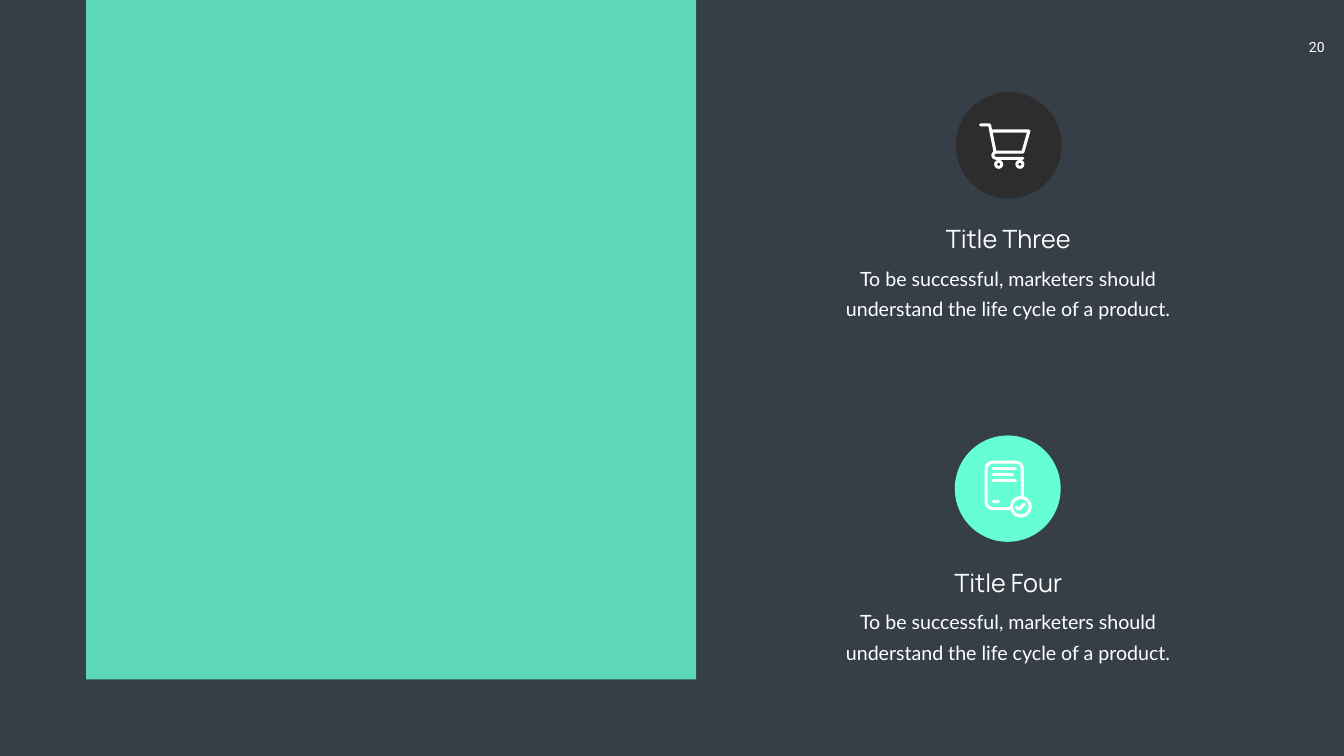
"""Build a dark slide with a green panel and two icon topics."""
from pptx import Presentation
from pptx.dml.color import RGBColor
from pptx.enum.shapes import MSO_SHAPE
from pptx.enum.text import PP_ALIGN
from pptx.oxml.ns import qn
from pptx.util import Inches, Pt
from lxml.etree import SubElement

SLATE = RGBColor(0x36, 0x3E, 0x48)
MINT = RGBColor(0x66, 0xFF, 0xD5)
COAL = RGBColor(0x2C, 0x2D, 0x2C)
WHITE = RGBColor(0xFF, 0xFF, 0xFF)
PEN = Inches(0.06)

deck = Presentation()
deck.slide_width, deck.slide_height = Inches(26.66), Inches(15)
slide = deck.slides.add_slide(deck.slide_layouts[6])
slide.background.fill.solid()
slide.background.fill.fore_color.rgb = SLATE
shapes = slide.shapes


def place(kind, box, fill=None, line=None):
    shape = shapes.add_shape(kind, *map(Inches, box))
    shape.shadow.inherit = False
    if fill is None:
        shape.fill.background()
    else:
        shape.fill.solid()
        shape.fill.fore_color.rgb = fill
    if line is None:
        shape.line.fill.background()
    else:
        shape.line.color.rgb = line
        shape.line.width = PEN
    return shape


def write(text, box, font, size, space=None):
    frame = shapes.add_textbox(*map(Inches, box)).text_frame
    frame.word_wrap = True
    para = frame.paragraphs[0]
    para.text = text
    para.alignment = PP_ALIGN.CENTER
    para.line_spacing = space
    para.font.name, para.font.size = font, Pt(size)
    para.font.color.rgb = WHITE
    return frame


number = write("20", (25.69, 0.67, 1.01, 0.54), "Roboto", 20)
number.margin_left, number.margin_right = Inches(0.2), Inches(0.35)
number.margin_top = number.margin_bottom = Inches(0.1)

panel = place(MSO_SHAPE.RECTANGLE, (1.71, 0, 12.1, 13.48), MINT)
tint = panel.element.spPr.find(qn("a:solidFill"))[0]
SubElement(tint, qn("a:alpha")).set("val", "80000")

topics = [("Title Three", 18.96, 1.83, COAL), ("Title Four", 18.94, 8.64, MINT)]
for name, left, top, fill in topics:
    place(MSO_SHAPE.OVAL, (left, top, 2.1, 2.11), fill)
    write(name, (17.56, top + 2.56, 4.88, 0.71), "Manrope", 36)
    write("To be successful, marketers should understand the life cycle of a product.",
          (16.26, top + 3.29, 7.47, 1.24), "Lato", 28, Pt(43))

for left in (19.72, 20.14):
    wheel = place(MSO_SHAPE.DONUT, (left, 3.17, 0.18, 0.18), WHITE)
    wheel.adjustments[0] = 0.33

phone = place(MSO_SHAPE.ROUNDED_RECTANGLE, (19.56, 9.17, 0.72, 0.92), line=WHITE)
phone.adjustments[0] = 0.18
place(MSO_SHAPE.OVAL, (20.06, 9.87, 0.38, 0.37), MINT, WHITE)

strokes = [
    [(19.45, 2.48), (19.63, 2.48), (19.74, 3.02), (20.29, 3.02), (20.41, 2.6), (19.69, 2.6)],
    [(19.75, 3.02), (19.71, 3.04), (19.69, 3.08), (19.71, 3.12), (19.75, 3.14), (20.29, 3.14)],
    [(19.7, 9.3), (20.14, 9.3)],
    [(19.7, 9.42), (20.08, 9.42)],
    [(19.7, 9.53), (20.14, 9.53)],
    [(19.7, 9.96), (19.81, 9.96)],
    [(20.16, 10.06), (20.21, 10.11), (20.32, 10)],
]
for stroke in strokes:
    first, *rest = [(Inches(x), Inches(y)) for x, y in stroke]
    draft = shapes.build_freeform(*first)
    draft.add_line_segments(rest, close=False)
    mark = draft.convert_to_shape()
    mark.shadow.inherit = False
    mark.fill.background()
    mark.line.color.rgb = WHITE
    mark.line.width = PEN
    mark.element.spPr.find(qn("a:ln")).set("cap", "rnd")

deck.save("out.pptx")
